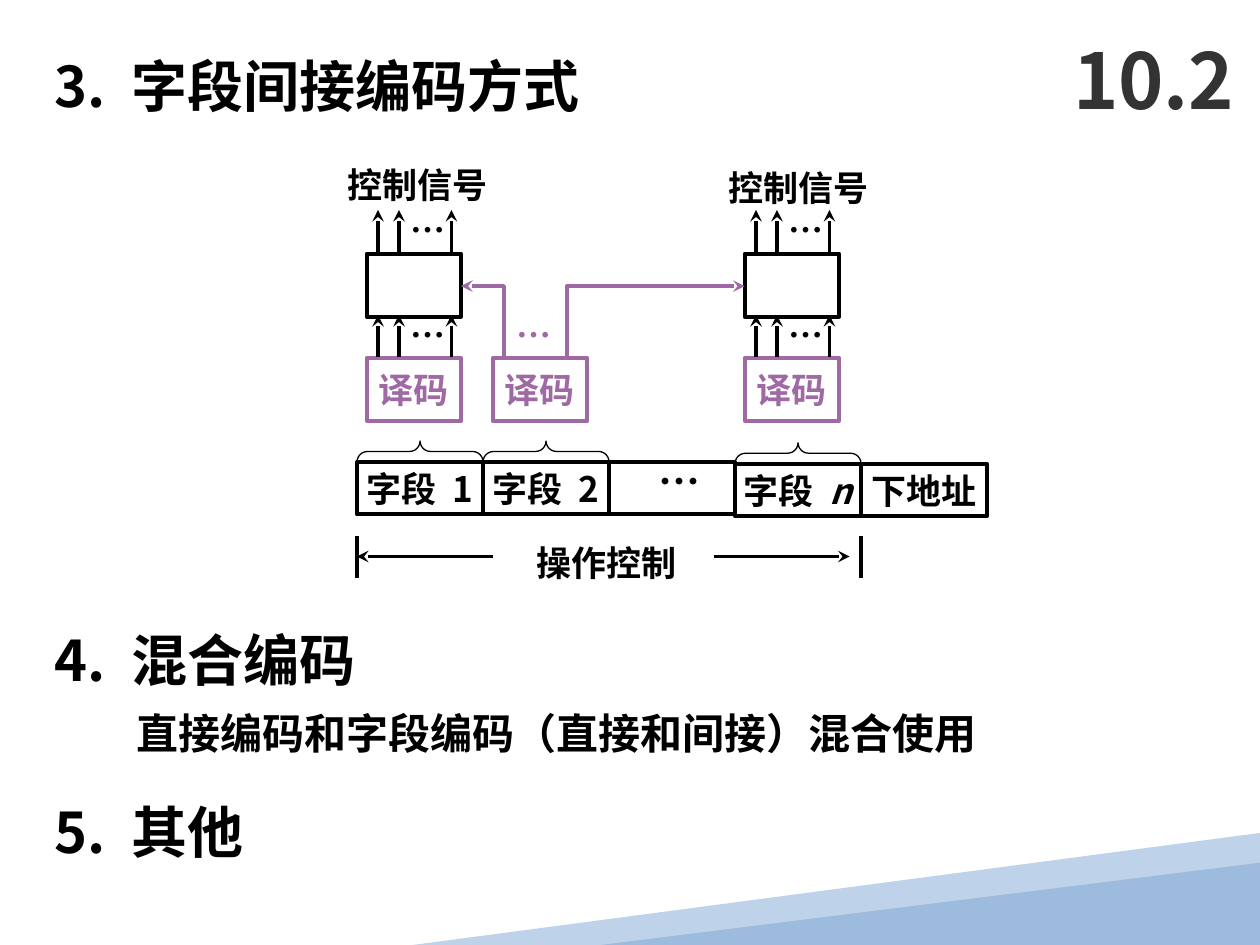
from lxml.etree import SubElement
from pptx import Presentation
from pptx.dml.color import RGBColor
from pptx.enum.shapes import MSO_CONNECTOR, MSO_SHAPE as SHAPE
from pptx.enum.text import MSO_ANCHOR as ANCHOR, MSO_AUTO_SIZE as AUTO, PP_ALIGN as ALIGN
from pptx.oxml.ns import qn
from pptx.util import Pt

FONT = "Noto Sans CJK SC"
BLACK = RGBColor(0x00, 0x00, 0x00)
GRAY = RGBColor(0x33, 0x33, 0x33)
PURPLE = RGBColor(0x9F, 0x69, 0xA3)
PALE_BLUE = RGBColor(0xBE, 0xD2, 0xE9)
BLUE = RGBColor(0x9D, 0xBC, 0xDD)


def style_run(r, size, color):
    """Apply the bold slide font to a run, for Latin and Chinese text."""
    r.font.name, r.font.size, r.font.bold = FONT, Pt(size), True
    r.font.color.rgb = color
    SubElement(r._r.get_or_add_rPr(), qn("a:ea"), typeface=FONT)


def add_text(slide, text, x, y, w, h, size=20, color=BLACK, wrap=False):
    """Add a text box and return its paragraph."""
    tf = slide.shapes.add_textbox(Pt(x), Pt(y), Pt(w), Pt(h)).text_frame
    tf.word_wrap = wrap
    tf.auto_size = AUTO.SHAPE_TO_FIT_TEXT
    p = tf.paragraphs[0]
    p.text = text
    style_run(p.runs[0], size, color)
    return p


def add_heading(slide, text, y):
    """Add a numbered heading whose words start at a tab stop."""
    p = add_text(slide, text, 24, y, 500, 46, 32, wrap=True)
    tabs = SubElement(p._p.get_or_add_pPr(), qn("a:tabLst"))
    SubElement(tabs, qn("a:tab"), pos=str(Pt(44)), algn="l")


def add_box(slide, x, y, w, h, parts=(), color=BLACK):
    """Add an outlined box with its centred text parts."""
    s = slide.shapes.add_shape(SHAPE.RECTANGLE, Pt(x), Pt(y), Pt(w), Pt(h))
    s.shadow.inherit = False
    s.fill.background()
    s.line.color.rgb, s.line.width = color, Pt(2.25)
    tf = s.text_frame
    tf.word_wrap = False
    tf.vertical_anchor = ANCHOR.MIDDLE
    p = tf.paragraphs[0]
    p.alignment = ALIGN.CENTER
    for part in parts:
        r = p.add_run()
        r.text = part
        style_run(r, 20, color)
        r.font.italic = part == "n"
        if part == " ":
            r._r.get_or_add_rPr().set("spc", "450")


def add_brace(slide, x, y):
    """Add an upward brace over a field that starts at x."""
    s = slide.shapes.add_shape(SHAPE.LEFT_BRACE, Pt(x + 30), Pt(y - 42), Pt(12), Pt(72))
    s.rotation = 90
    s.adjustments[0] = s.adjustments[1] = 0.5
    s.shadow.inherit = False
    s.fill.background()
    s.line.color.rgb, s.line.width = BLACK, Pt(0.75)


def add_head(s):
    """Put a stealth arrowhead at the end of a line."""
    SubElement(s.line._get_or_add_ln(), qn("a:tailEnd"), type="stealth")


def add_line(slide, x1, y1, x2, y2, arrow=True):
    """Add a straight black line, with an arrowhead if asked."""
    s = slide.shapes.add_connector(MSO_CONNECTOR.STRAIGHT, Pt(x1), Pt(y1), Pt(x2), Pt(y2))
    s.line.color.rgb, s.line.width = BLACK, Pt(2.25)
    if arrow:
        add_head(s)
    SubElement(s._element.spPr, qn("a:effectLst"))


def add_path(slide, points, closed=False):
    """Add a freeform outline through the given points."""
    points = [(Pt(x), Pt(y)) for x, y in points]
    builder = slide.shapes.build_freeform(*points[0])
    builder.add_line_segments(points[1:], close=closed)
    s = builder.convert_to_shape()
    s.shadow.inherit = False
    return s


def add_elbow(slide, points):
    """Add a purple bent arrow."""
    s = add_path(slide, points)
    s.fill.background()
    s.line.color.rgb, s.line.width = PURPLE, Pt(2.25)
    add_head(s)


def add_backdrop(slide):
    """Add the two blue wedges at the bottom right."""
    pale = add_path(slide, [(720, 476), (720, 536), (485, 540), (236, 540)], closed=True)
    dark = slide.shapes.add_shape(SHAPE.ISOSCELES_TRIANGLE, Pt(343.5), Pt(493), Pt(376.5), Pt(47))
    dark.adjustments[0] = 1
    dark.shadow.inherit = False
    for s, color in ((pale, PALE_BLUE), (dark, BLUE)):
        s.fill.solid()
        s.fill.fore_color.rgb = color
        s.line.fill.background()


def add_title(slide, text):
    """Place and format the section number."""
    s = slide.shapes.title
    s.left, s.top, s.width, s.height = Pt(606), Pt(12), Pt(114), Pt(66)
    tf = s.text_frame
    tf.text = text
    tf.vertical_anchor = ANCHOR.MIDDLE
    tf.paragraphs[0].alignment = ALIGN.LEFT
    style_run(tf.paragraphs[0].runs[0], 44, GRAY)


def add_signals(slide, x, y):
    """Add three upward arrows with an ellipsis, ending at height y."""
    for dx in (6.5, 18.5, 48.5):
        add_line(slide, x + dx, y + 24, x + dx, y)
    add_text(slide, "…", x + 18, y - 4.5, 34.5, 31.5)


def add_decoder(slide, x, label_x, label_y):
    """Add a control box above its decoder, with the signals of both."""
    add_box(slide, x, 145, 54, 36)
    add_signals(slide, x, 120)
    add_signals(slide, x, 180)
    add_text(slide, "控制信号", label_x, label_y, 94.5, 31.5)


def add_fields(slide):
    """Add the instruction fields, their braces and the control span."""
    fields = [("字段", " ", "1"), ("字段", " ", "2"), (), ("字段", " ", "n"), ("下地址",)]
    for i, parts in enumerate(fields):
        x, y = 204 + 72 * i, 264 if i < 3 else 265
        add_box(slide, x, y, 72, 30, parts)
        if len(parts) == 3:
            add_brace(slide, x, y)
    add_text(slide, "…", 369, 256.5, 38, 36, 24)
    for x in (204, 492):
        add_line(slide, x, 306, x, 330.5, arrow=False)
    add_line(slide, 281.5, 318, 204, 318)
    add_line(slide, 408, 318, 485.5, 318)
    add_text(slide, "操作控制", 299.5, 306, 94.5, 31.5)


def main():
    """Build the slide and save it."""
    prs = Presentation()
    prs.slide_width, prs.slide_height = Pt(720), Pt(540)
    slide = prs.slides.add_slide(prs.slide_layouts[5])
    add_backdrop(slide)
    add_title(slide, "10.2")
    for text, y in (("3.\t字段间接编码方式", 26), ("4.\t混合编码", 354), ("5.\t其他", 452)):
        add_heading(slide, text, y)
    add_text(slide, "直接编码和字段编码（直接和间接）混合使用", 71, 401, 601, 36, 24, wrap=True)
    add_fields(slide)
    for x in (209.5, 281.5, 425.5):
        add_box(slide, x, 204.5, 54, 36, ["译码"], PURPLE)
    add_decoder(slide, 209.5, 191.5, 90)
    add_decoder(slide, 425.5, 409, 91.5)
    add_text(slide, "…", 288, 175.5, 34.5, 31.5, color=PURPLE)
    add_elbow(slide, [(288, 205), (288, 163.5), (263.5, 163.5)])
    add_elbow(slide, [(324, 205), (324, 163.5), (425.5, 163.5)])
    prs.save("out.pptx")


if __name__ == "__main__":
    main()
